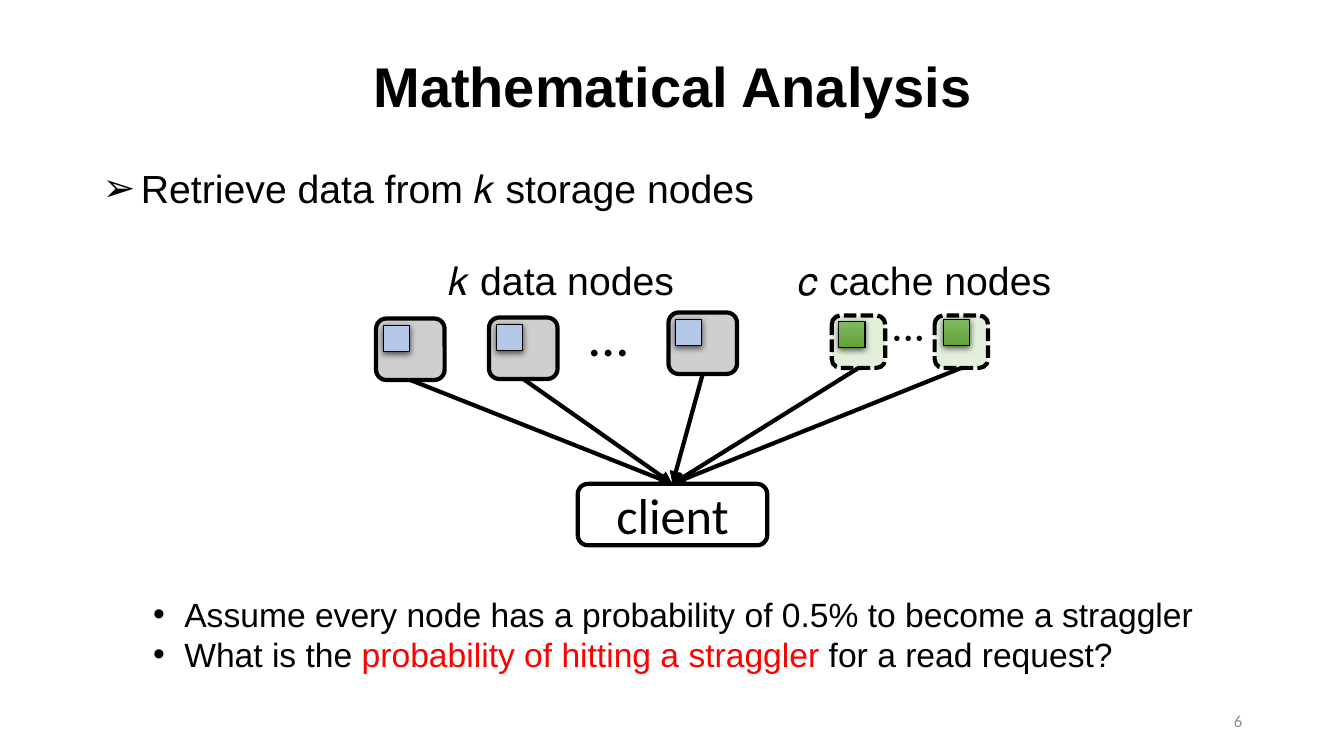
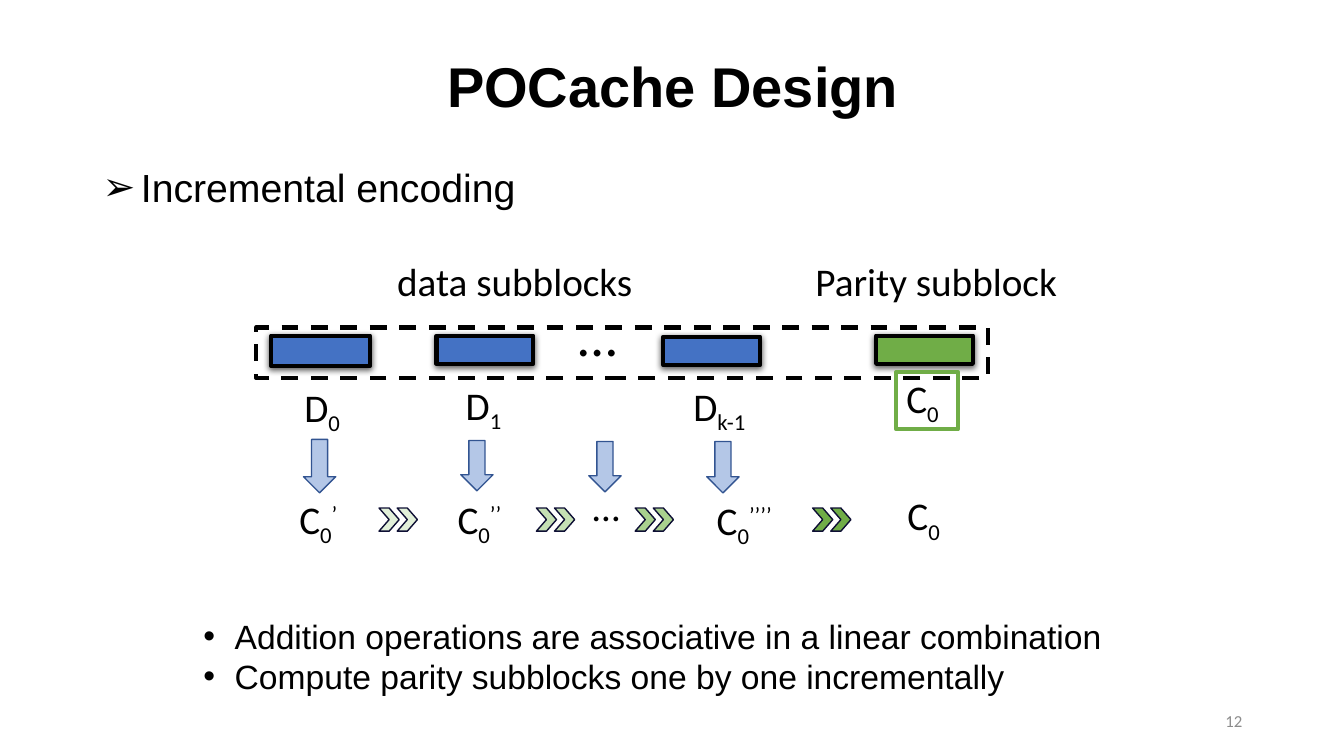
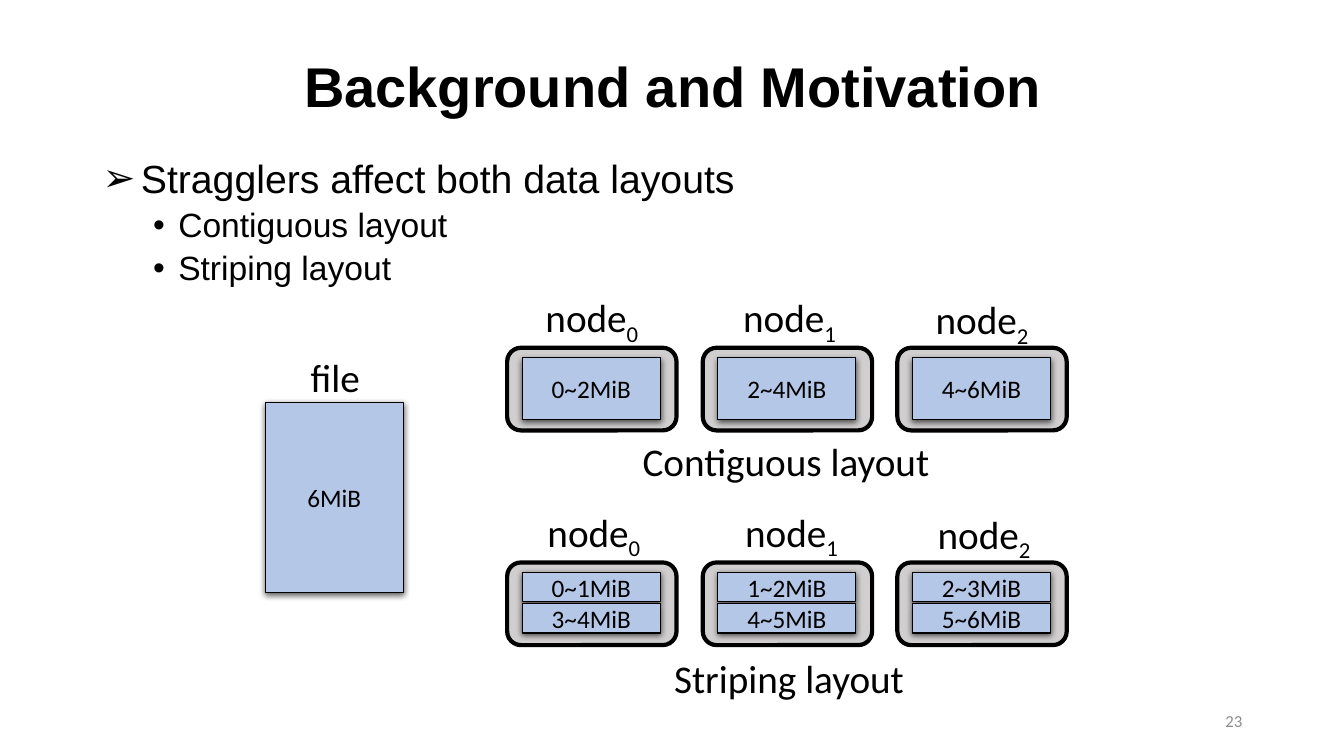
from dataclasses import dataclass
from typing import NamedTuple, Optional

from lxml.etree import SubElement
from pptx import Presentation
from pptx.dml.color import RGBColor
from pptx.enum.dml import MSO_LINE_DASH_STYLE as Dash
from pptx.enum.shapes import MSO_CONNECTOR, MSO_SHAPE as Preset
from pptx.enum.text import MSO_ANCHOR as Anchor, MSO_AUTO_SIZE, PP_ALIGN as Align
from pptx.oxml.ns import qn
from pptx.shapes.autoshape import Shape
from pptx.slide import Slide
from pptx.text.text import TextFrame
from pptx.util import Emu, Pt

EMU_PER_PX = 9144  # 100 px to the inch
COLORS = {
    "black": "000000", "white": "FFFFFF", "red": "FF0000", "grey": "8C8C8C",
    "node": "D0CECE", "block": "B4C7E7", "data": "4472C4", "parity": "70AD47",
    "cache": "E2F0D9", "cache top": "81B861", "cache bottom": "62A336",
    "green 1": "E2F0D9", "green 2": "C5E0B4", "green 3": "A9D18E",
    "navy": "0E0F34", "arrow edge": "325491",
}
BOTTOM, TOP = 2, 0


class Box(NamedTuple):
    left: int
    top: int
    width: int
    height: int


@dataclass(frozen=True)
class Span:
    text: str
    color: Optional[str] = None
    baseline: int = 0


@dataclass(frozen=True)
class Para:
    spans: tuple[Span, ...]
    size: int = 28
    font: str = "Calibri"
    color: str = "black"
    bold: bool = False
    align: Align = Align.LEFT
    bullet: str = ""
    margin: int = 0
    hanging: int = 0
    before: int = 0
    spacing: float = 1.0


@dataclass(frozen=True)
class Look:
    fill: Optional[str]
    line: str = "black"
    weight: float = 3
    dash: Optional[Dash] = None
    shadow: bool = False


NODE = Look("node")
BLOCK = Look("block", weight=0.75, shadow=True)
CACHE_NODE = Look("cache", dash=Dash.SQUARE_DOT)
DOWN_ARROW = Look("block", "arrow edge", 1)
CENTERED = Align.CENTER


def px(length: int) -> Emu:
    return Emu(length * EMU_PER_PX)


def place(box: Box) -> tuple[Emu, ...]:
    return tuple(px(length) for length in box)


def rgb(name: str) -> RGBColor:
    return RGBColor.from_string(COLORS[name])


def plain(text: str, **style) -> Para:
    return Para((Span(text),), **style)


def indexed(base: str, below: str, above: str = "", **style) -> Para:
    """A symbol with a subscript and, if given, a superscript."""
    spans = (Span(base), Span(below, baseline=-25000))
    return Para(spans + ((Span(above, baseline=30000),) if above else ()), **style)


def heading(text: str, spacing: float = 1.0) -> Para:
    return plain(text, font="Arial", bullet="➢", margin=38, hanging=38,
                 before=10, spacing=spacing)


def point(*spans: Span, margin: int, hanging: int = 31, **style) -> Para:
    return Para(spans, size=24, font="Arial", bullet="•", margin=margin,
                hanging=hanging, **style)


def write(frame: TextFrame, paras: tuple[Para, ...], anchor: Anchor) -> None:
    frame.word_wrap = True
    frame.auto_size = MSO_AUTO_SIZE.NONE
    frame.vertical_anchor = anchor
    for number, para in enumerate(paras):
        paragraph = frame.add_paragraph() if number else frame.paragraphs[0]
        if para.bullet:
            properties = paragraph._p.get_or_add_pPr()
            properties.set("marL", str(px(para.margin)))
            properties.set("indent", str(px(-para.hanging)))
            SubElement(properties, qn("a:buFont"), typeface="Arial")
            SubElement(properties, qn("a:buChar"), char=para.bullet)
        paragraph.alignment = para.align
        paragraph.line_spacing = para.spacing
        paragraph.space_before = Pt(para.before)
        font = paragraph.font
        font.name, font.size, font.bold = para.font, Pt(para.size), para.bold
        font.color.rgb = rgb(para.color)
        for span in para.spans:
            run = paragraph.add_run()
            run.text = span.text
            if span.color:
                run.font.color.rgb = rgb(span.color)
            if span.baseline:
                run._r.get_or_add_rPr().set("baseline", str(span.baseline))


def add_text(slide: Slide, box: Box, *paras: Para, anchor: Anchor = Anchor.TOP) -> Shape:
    shape = slide.shapes.add_textbox(*place(box))
    write(shape.text_frame, paras, anchor)
    return shape


def add_figure(slide: Slide, preset: Preset, box: Box, look: Look, *paras: Para) -> Shape:
    shape = slide.shapes.add_shape(preset, *place(box))
    if look.fill:
        shape.fill.solid()
        shape.fill.fore_color.rgb = rgb(look.fill)
    else:
        shape.fill.background()
    shape.line.color.rgb = rgb(look.line)
    shape.line.width = Pt(look.weight)
    if look.dash:
        shape.line.dash_style = look.dash
    shape.shadow.inherit = False
    if look.shadow:
        effects = shape._element.spPr.find(qn("a:effectLst"))
        outer = SubElement(effects, qn("a:outerShdw"), blurRad=str(Pt(4.5)),
                           dist=str(Pt(1.5)), dir="5400000", rotWithShape="0")
        color = SubElement(outer, qn("a:srgbClr"), val=COLORS["black"])
        SubElement(color, qn("a:alpha"), val="63000")
    if paras:
        write(shape.text_frame, paras, Anchor.MIDDLE)
    return shape


def add_arrow(slide: Slide, source: Shape, target: Shape) -> None:
    """Arrow from the bottom of one shape to the top of another."""
    arrow = slide.shapes.add_connector(MSO_CONNECTOR.STRAIGHT, 0, 0, 0, 0)
    arrow.begin_connect(source, BOTTOM)
    arrow.end_connect(target, TOP)
    arrow.line.color.rgb = rgb("black")
    arrow.line.width = Pt(3)
    SubElement(arrow.line._get_or_add_ln(), qn("a:tailEnd"), type="triangle")
    SubElement(arrow._element.spPr, qn("a:effectLst"))


def add_page(deck: Presentation, title: str, number: int) -> Slide:
    slide = deck.slides.add_slide(deck.slide_layouts[5])
    holder = slide.shapes.title
    holder.left, holder.top, holder.width, holder.height = place(Box(92, 40, 1150, 98))
    write(holder.text_frame, (plain(title, size=40, font="Arial", bold=True,
                                    align=CENTERED, spacing=0.9),), Anchor.MIDDLE)
    add_text(slide, Box(942, 695, 300, 40),
             plain(str(number), size=12, color="grey", align=Align.RIGHT),
             anchor=Anchor.MIDDLE)
    return slide


def draw_analysis(deck: Presentation) -> None:
    slide = add_page(deck, "Mathematical Analysis", 6)
    add_text(slide, Box(92, 158, 1150, 64), heading("Retrieve data from 𝑘 storage nodes"))
    add_text(slide, Box(435, 249, 260, 57), plain("𝑘 data nodes", font="Arial"))
    add_text(slide, Box(782, 249, 280, 57), plain("𝑐 cache nodes", font="Arial"))
    add_text(slide, Box(575, 293, 58, 77), plain("…", size=40))
    add_text(slide, Box(868, 319, 58, 64), plain("…", size=32)).rotation = 180
    client = add_figure(slide, Preset.ROUNDED_RECTANGLE, Box(573, 480, 188, 61),
                        Look("white"), plain("client", size=36, align=CENTERED))
    for left, top in ((373, 316), (485, 315), (663, 310)):
        node = add_figure(slide, Preset.ROUNDED_RECTANGLE, Box(left, top, 68, 61), NODE)
        add_figure(slide, Preset.RECTANGLE, Box(left + 7, top + 7, 26, 26), BLOCK)
        add_arrow(slide, node, client)
    for left, block_left, block_top in ((825, 832, 319), (927, 936, 317)):
        node = add_figure(slide, Preset.ROUNDED_RECTANGLE, Box(left, 313, 53, 52), CACHE_NODE)
        block = add_figure(slide, Preset.RECTANGLE, Box(block_left, block_top, 26, 26), BLOCK)
        block.fill.gradient()
        block.fill.gradient_angle = 270
        for stop, name in zip(block.fill.gradient_stops, ("cache top", "cache bottom")):
            stop.color.rgb = rgb(name)
        add_arrow(slide, node, client)
    add_text(slide, Box(92, 584, 1150, 91),
             point(Span("Assume every node has a probability of 0.5% to become a straggler"),
                   margin=81),
             point(Span("What is the "), Span("probability of hitting a straggler", "red"),
                   Span(" for a read request?"), margin=81))


def draw_design(deck: Presentation) -> None:
    slide = add_page(deck, "POCache Design", 12)
    add_text(slide, Box(92, 157, 1150, 84), heading("Incremental encoding"))
    add_text(slide, Box(384, 250, 263, 57), plain("data subblocks"))
    add_text(slide, Box(797, 250, 263, 57), plain("Parity subblock", align=CENTERED))
    add_figure(slide, Preset.RECTANGLE, Box(254, 325, 726, 50), Look(None, dash=Dash.DASH))
    add_text(slide, Box(564, 293, 47, 77), plain("…", size=40))

    for box, fill in ((Box(269, 333, 98, 30), "data"), (Box(433, 333, 96, 28), "data"),
                      (Box(658, 334, 96, 28), "data"), (Box(869, 333, 96, 28), "parity")):
        add_figure(slide, Preset.RECTANGLE, box, Look(fill, shadow=True))
    for box, index in ((Box(289, 375, 61, 57), "0"), (Box(449, 373, 61, 57), "1"),
                       (Box(671, 374, 85, 57), "k-1")):
        add_text(slide, box, indexed("D", index, align=CENTERED))
    add_figure(slide, Preset.RECTANGLE, Box(889, 369, 61, 57), Look(None, "parity"),
               indexed("C", "0"))

    for left, top, height in ((301, 436, 53), (457, 437, 50), (584, 438, 50), (701, 438, 51)):
        add_figure(slide, Preset.DOWN_ARROW, Box(left, top, 32, height), DOWN_ARROW)
    for box, primes in ((Box(287, 486, 72, 57), "’"), (Box(444, 486, 72, 57), "’’"),
                        (Box(701, 487, 92, 57), "’’’’")):
        add_text(slide, box, indexed("C", "0", primes))
    add_text(slide, Box(578, 474, 47, 57), plain("…"))
    add_text(slide, Box(880, 483, 72, 57), indexed("C", "0", align=CENTERED))
    for left, fill in ((376, "green 1"), (532, "green 2"), (630, "green 3"), (806, "parity")):
        for shift in (18, 0):
            add_figure(slide, Preset.CHEVRON, Box(left + shift, 504, 20, 23),
                       Look(fill, "navy", 1))
    add_text(slide, Box(92, 606, 1150, 91), *(
        point(Span(text), margin=131)
        for text in ("Addition operations are associative in a linear combination",
                     "Compute parity subblocks one by one incrementally")))


def draw_node_row(slide: Slide, top: int, label_shift: int,
                  contents: tuple[tuple[str, ...], ...]) -> None:
    """Three labelled nodes, each holding its blocks stacked at equal height."""
    inner, gap = 61, 2
    lefts, labels = (503, 697, 890), ((503, 0), (699, 0), (890, 2))
    for index, (left, label, ranges) in enumerate(zip(lefts, labels, contents)):
        add_figure(slide, Preset.ROUNDED_RECTANGLE, Box(left, top, 168, 82), NODE)
        height = (inner - gap * (len(ranges) - 1)) // len(ranges)
        for row, text in enumerate(ranges):
            add_figure(slide, Preset.RECTANGLE,
                       Box(left + 15, top + 10 + row * (height + gap), 137, height),
                       BLOCK, plain(text, size=18, align=CENTERED))
        add_text(slide, Box(label[0] + label_shift, top - 59 + label[1], 168, 57),
                 indexed("node", str(index), align=CENTERED))


def draw_background(deck: Presentation) -> None:
    slide = add_page(deck, "Background and Motivation", 23)
    add_text(slide, Box(92, 153, 1150, 145),
             heading("Stragglers affect both data layouts", spacing=0.9),
             *(point(Span(text), margin=75, hanging=25, before=5, spacing=0.9)
               for text in ("Contiguous layout", "Striping layout")))
    add_text(slide, Box(264, 346, 137, 57), plain("file", align=CENTERED))
    add_figure(slide, Preset.RECTANGLE, Box(263, 399, 137, 189), BLOCK,
               plain("6MiB", size=18, align=CENTERED))
    draw_node_row(slide, 345, 0, (("0~2MiB",), ("2~4MiB",), ("4~6MiB",)))
    draw_node_row(slide, 558, 2, (("0~1MiB", "3~4MiB"), ("1~2MiB", "4~5MiB"),
                                  ("2~3MiB", "5~6MiB")))
    add_text(slide, Box(532, 429, 495, 57), plain("Contiguous layout", align=CENTERED))
    add_text(slide, Box(535, 644, 495, 57), plain("Striping layout", align=CENTERED))


def main() -> None:
    deck = Presentation()
    deck.slide_width, deck.slide_height = px(1333), px(750)
    draw_analysis(deck)
    draw_design(deck)
    draw_background(deck)
    deck.save("out.pptx")


if __name__ == "__main__":
    main()
